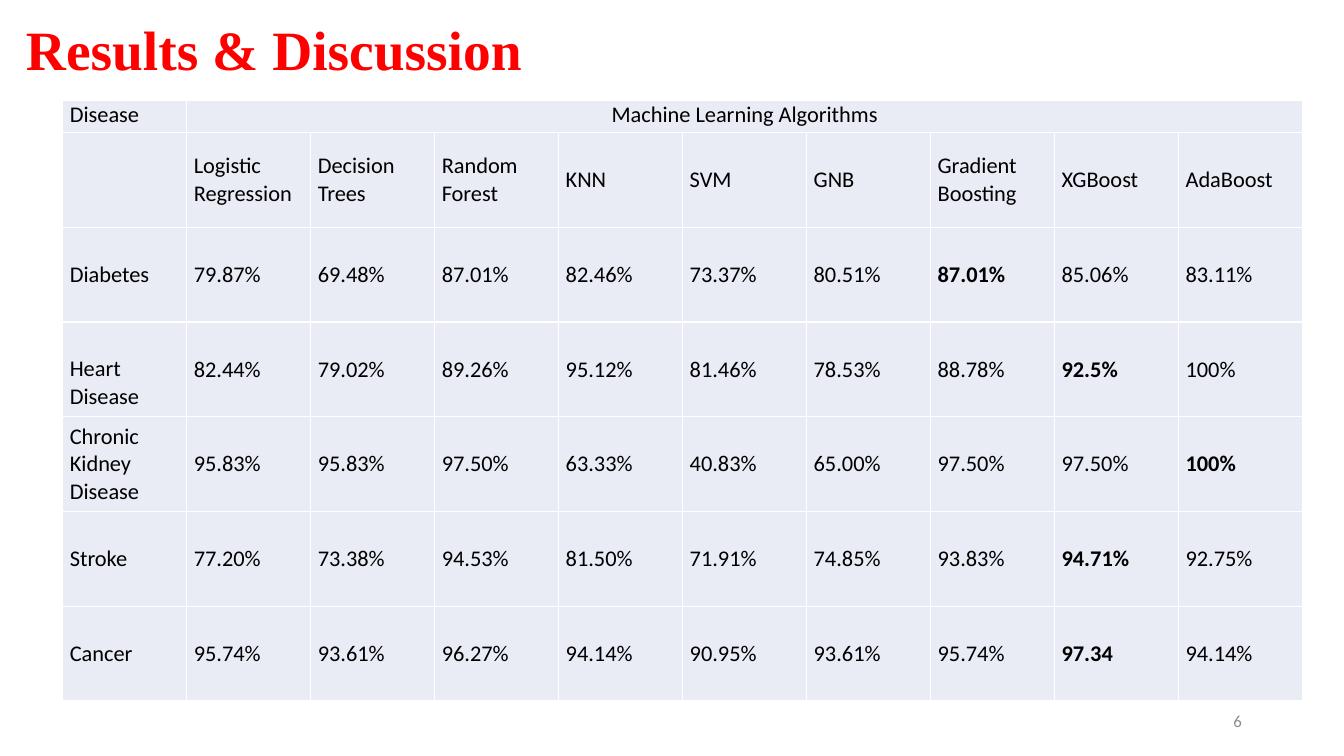
from lxml import etree
from pptx import Presentation
from pptx.dml.color import RGBColor
from pptx.enum.text import MSO_ANCHOR, PP_ALIGN
from pptx.oxml.ns import qn
from pptx.util import Pt

TOP, MIDDLE = MSO_ANCHOR.TOP, MSO_ANCHOR.MIDDLE
LEFT, CENTER, RIGHT, JUSTIFY = PP_ALIGN.LEFT, PP_ALIGN.CENTER, PP_ALIGN.RIGHT, PP_ALIGN.JUSTIFY
RED = RGBColor(0xFF, 0x00, 0x00)
BLACK = RGBColor(0x00, 0x00, 0x00)
WHITE = RGBColor(0xFF, 0xFF, 0xFF)
GRAY = RGBColor(0x8C, 0x8C, 0x8C)
PALE_BLUE = RGBColor(0xE9, 0xEB, 0xF5)

TITLE_FONT = {"name": "Times New Roman", "size": Pt(39.6), "bold": True}
NUMBER_FONT = {"name": "Calibri", "size": Pt(12)}
CELL_FONT = {"name": "Calibri", "size": Pt(16)}
CELL_MARGINS = {"margin_left": Pt(5), "margin_right": Pt(5), "margin_top": 0, "margin_bottom": 0}

COLUMN_WIDTH, HEADER_HEIGHT, ROW_HEIGHT = 88.56, 22.6, 67.7
LINE_HEIGHT = 19.5
ROWS = [
    ["Disease", "Machine Learning Algorithms"] + [""] * 8,
    ["", "Logistic\nRegression", "Decision\nTrees", "Random\nForest", "KNN", "SVM", "GNB",
     "Gradient\nBoosting", "XGBoost", "AdaBoost"],
    ["Diabetes", "79.87%", "69.48%", "87.01%", "82.46%", "73.37%", "80.51%", "87.01%",
     "85.06%", "83.11%"],
    ["Heart Disease", "82.44%", "79.02%", "89.26%", "95.12%", "81.46%", "78.53%", "88.78%",
     "92.5%", "100%"],
    ["Chronic Kidney Disease", "95.83%", "95.83%", "97.50%", "63.33%", "40.83%", "65.00%",
     "97.50%", "97.50%", "100%"],
    ["Stroke", "77.20%", "73.38%", "94.53%", "81.50%", "71.91%", "74.85%", "93.83%",
     "94.71%", "92.75%"],
    ["Cancer", "95.74%", "93.61%", "96.27%", "94.14%", "90.95%", "93.61%", "95.74%",
     "97.34", "94.14%"],
]
HIGHLIGHTS = {(2, 7), (3, 8), (4, 9), (5, 8), (6, 8)}


def set_all(obj, values):
    for name, value in values.items():
        setattr(obj, name, value)


def write_text(tf, text, font, color, align, bold=False):
    tf.text = text
    for p in tf.paragraphs:
        p.alignment = align
        for r in p.runs:
            set_all(r.font, {"bold": bold, **font})
            r.font.color.rgb = color


def add_text(slide, text, box, font, color, align, spacing=1.0, margin_bottom=3.6):
    tf = slide.shapes.add_textbox(*[Pt(v) for v in box]).text_frame
    set_all(tf, {"word_wrap": True, "vertical_anchor": MIDDLE, "margin_bottom": Pt(margin_bottom)})
    write_text(tf, text, font, color, align)
    tf.paragraphs[0].line_spacing = spacing


def add_borders(cell):
    tcPr = cell._tc.get_or_add_tcPr()
    for i, side in enumerate(("a:lnL", "a:lnR", "a:lnT", "a:lnB")):
        ln = etree.Element(qn(side), w=str(Pt(1)))
        fill = etree.SubElement(ln, qn("a:solidFill"))
        etree.SubElement(fill, qn("a:srgbClr"), val=str(WHITE))
        tcPr.insert(i, ln)


def format_cell(cell, text, align, anchor, bold):
    set_all(cell, {**CELL_MARGINS, "vertical_anchor": anchor})
    cell.fill.solid()
    cell.fill.fore_color.rgb = PALE_BLUE
    add_borders(cell)
    write_text(cell.text_frame, text, CELL_FONT, BLACK, align, bold)


def add_results_table(slide, left, top):
    n_rows, n_cols = len(ROWS), len(ROWS[0])
    height = HEADER_HEIGHT + ROW_HEIGHT * (n_rows - 1)
    table = slide.shapes.add_table(n_rows, n_cols, Pt(left), Pt(top),
                                   Pt(COLUMN_WIDTH * n_cols), Pt(height)).table
    set_all(table, {"first_row": False, "horz_banding": False})
    for column in table.columns:
        column.width = Pt(COLUMN_WIDTH)
    for i, values in enumerate(ROWS):
        table.rows[i].height = Pt(ROW_HEIGHT if i else HEADER_HEIGHT)
        for j, text in enumerate(values):
            align = CENTER if (i, j) == (0, 1) else JUSTIFY
            format_cell(table.cell(i, j), text, align, MIDDLE if i else TOP, (i, j) in HIGHLIGHTS)
    table.cell(0, 1).merge(table.cell(0, n_cols - 1))
    table.cell(3, 0).margin_top = Pt(LINE_HEIGHT)


def main():
    prs = Presentation()
    prs.slide_width, prs.slide_height = Pt(960), Pt(540)
    slide = prs.slides.add_slide(prs.slide_layouts[6])
    add_text(slide, "Results & Discussion", (11.5, 21.6, 412.6, 72.7), TITLE_FONT, RED, LEFT,
             spacing=0.9, margin_bottom=44.6)
    add_text(slide, "6", (678.2, 500.4, 216, 28.8), NUMBER_FONT, GRAY, RIGHT)
    add_results_table(slide, 44.9, 72)
    prs.save("out.pptx")


if __name__ == "__main__":
    main()
